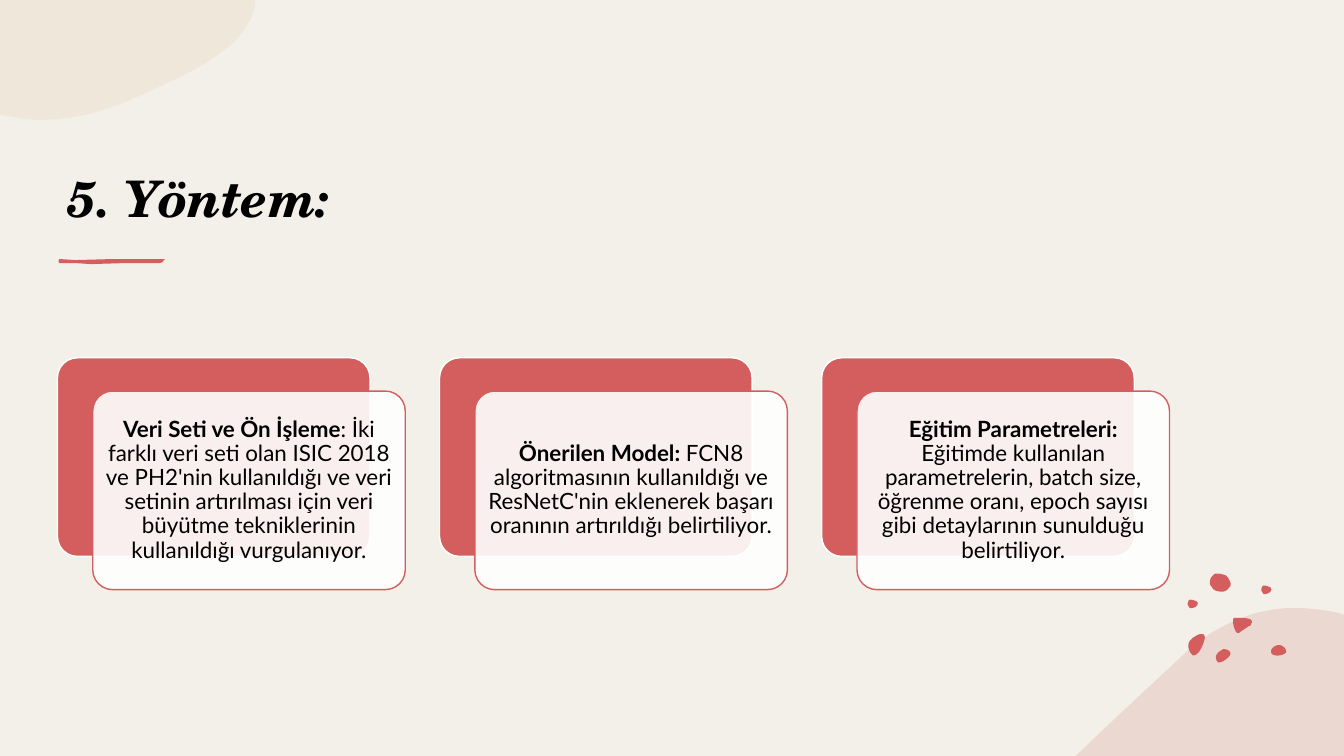
from lxml import etree
from pptx import Presentation
from pptx.dml.color import RGBColor
from pptx.enum.shapes import MSO_SHAPE
from pptx.enum.text import MSO_ANCHOR, PP_ALIGN
from pptx.oxml.ns import qn
from pptx.util import Inches, Pt

ROUNDED = MSO_SHAPE.ROUNDED_RECTANGLE
MIDDLE, BOTTOM = MSO_ANCHOR.MIDDLE, MSO_ANCHOR.BOTTOM
CENTER = PP_ALIGN.CENTER

THEME = {
    "paper": "F3F0E9", "sand": "E7CFAF", "blush": "E5C4BA",
    "red": "D45E5E", "white": "FFFFFF", "ink": "000000",
    "title_font": "TeX Gyre Schola", "title_size": 36,
    "body_font": "Lato", "body_size": 16,
}
CURVE_STEPS = 8


def paint(sp, color, alpha=100, line=None):
    """Fill a shape, set its outline and drop its shadow."""
    sp.shadow.inherit = False
    sp.fill.solid()
    sp.fill.fore_color.rgb = RGBColor.from_string(THEME[color])
    if alpha < 100:
        clr = sp.fill._xPr.find(qn("a:solidFill"))[0]
        etree.SubElement(clr, qn("a:alpha")).set("val", str(alpha * 1000))
    if line:
        sp.line.color.rgb = RGBColor.from_string(THEME[line])
        sp.line.width = Pt(1)
    else:
        sp.line.fill.background()


def draw_blob(start, segments, color, alpha=100):
    """Outline of straight (x, y) and cubic (x1, y1, x2, y2, x, y) segments, in inches."""
    points = [start]
    for seg in segments:
        if len(seg) == 2:
            points.append(seg)
            continue
        ends = [points[-1], seg[0:2], seg[2:4], seg[4:6]]
        for step in range(1, CURVE_STEPS + 1):
            t = step / CURVE_STEPS
            weights = ((1 - t) ** 3, 3 * t * (1 - t) ** 2, 3 * t * t * (1 - t), t ** 3)
            points.append(tuple(sum(w * e[axis] for w, e in zip(weights, ends))
                                for axis in (0, 1)))
    emu = [(Inches(x), Inches(y)) for x, y in points]
    builder = s.shapes.build_freeform(*emu[0])
    builder.add_line_segments(emu[1:], close=True)
    paint(builder.convert_to_shape(), color, alpha)


# Slide
prs = Presentation()
prs.slide_width, prs.slide_height = Inches(13.33), Inches(7.5)
s = prs.slides.add_slide(prs.slide_layouts[6])
s.background.fill.solid()
s.background.fill.fore_color.rgb = RGBColor.from_string(THEME["paper"])

# Corner blobs
draw_blob((0, 0), [
    (2.53, 0), (2.53, 0.06), (2.45, 0.44, 2, 0.67, 1.58, 0.86),
    (1.23, 1.03, 0.86, 1.19, 0.41, 1.19), (0.31, 1.19, 0.22, 1.18, 0.13, 1.16),
    (0, 1.14)], "sand", 25)
draw_blob((12.88, 6.03), [
    (13.01, 6.04, 13.14, 6.05, 13.27, 6.08), (13.33, 6.1), (13.33, 7.5),
    (10.67, 7.5), (10.68, 7.49), (11.02, 7.16, 11.37, 6.84, 11.69, 6.54),
    (11.91, 6.32, 12.14, 6.19, 12.37, 6.11),
    (12.54, 6.05, 12.71, 6.03, 12.88, 6.03)], "blush", 50)

# Title
tb = s.shapes.add_textbox(Inches(0.57), Inches(0.86), Inches(11.02), Inches(1.45))
tf = tb.text_frame
tf.word_wrap, tf.vertical_anchor = True, BOTTOM
r = tf.paragraphs[0].add_run()
r.text = "5. Yöntem:"
r.font.color.rgb = RGBColor.from_string(THEME["ink"])
for name, value in {"name": THEME["title_font"], "size": Pt(THEME["title_size"]),
                    "bold": True, "italic": True}.items():
    setattr(r.font, name, value)

# Brush stroke under the title
draw_blob((0.59, 2.57), [
    (0.75, 2.58), (1.11, 2.57), (1.64, 2.57), (1.61, 2.58, 1.63, 2.61, 1.57, 2.61),
    (1.24, 2.61), (0.9, 2.62), (0.75, 2.61), (0.61, 2.61),
    (0.57, 2.62, 0.58, 2.58, 0.59, 2.57)], "red")

# Red pebbles
PEBBLES = [
    ((12.13, 6.44), [(12.15, 6.44, 12.16, 6.44, 12.18, 6.45),
                     (12.2, 6.46, 12.21, 6.48, 12.2, 6.5),
                     (12.18, 6.53, 12.12, 6.58, 12.08, 6.57),
                     (12.07, 6.56, 12.06, 6.54, 12.06, 6.52),
                     (12.06, 6.5, 12.08, 6.47, 12.1, 6.46)]),
    ((11.91, 6.29), [(11.93, 6.29, 11.95, 6.29, 11.95, 6.33),
                     (11.94, 6.38, 11.92, 6.43, 11.89, 6.47),
                     (11.87, 6.49, 11.84, 6.52, 11.82, 6.49),
                     (11.79, 6.46, 11.78, 6.41, 11.79, 6.38),
                     (11.8, 6.35, 11.82, 6.34, 11.84, 6.32),
                     (11.85, 6.32, 11.88, 6.29, 11.91, 6.29)]),
    ((12.69, 6.4), [(12.71, 6.4, 12.74, 6.42, 12.75, 6.44),
                    (12.76, 6.46, 12.76, 6.48, 12.73, 6.49),
                    (12.7, 6.51, 12.62, 6.51, 12.61, 6.48),
                    (12.6, 6.46, 12.61, 6.44, 12.62, 6.43),
                    (12.64, 6.41, 12.66, 6.4, 12.69, 6.4)]),
    ((12.01, 5.81), [(12, 5.81, 11.99, 5.75, 12.02, 5.72),
                     (12.04, 5.7, 12.04, 5.69, 12.07, 5.69),
                     (12.1, 5.69, 12.14, 5.7, 12.16, 5.71),
                     (12.18, 5.73, 12.22, 5.78, 12.2, 5.82),
                     (12.17, 5.85, 12.16, 5.87, 12.12, 5.87),
                     (12.09, 5.87, 12.04, 5.86, 12.03, 5.84)]),
    ((12.28, 6.13), [(12.34, 6.13, 12.45, 6.13, 12.41, 6.19),
                     (12.41, 6.2, 12.4, 6.21, 12.39, 6.21),
                     (12.36, 6.23, 12.33, 6.25, 12.3, 6.27),
                     (12.29, 6.28, 12.28, 6.29, 12.26, 6.27),
                     (12.24, 6.23, 12.23, 6.2, 12.23, 6.16),
                     (12.23, 6.15, 12.23, 6.14, 12.24, 6.13)]),
]
for start, segments in PEBBLES:
    draw_blob(start, segments, "red")
for x, y in [(12.51, 5.81), (11.78, 5.95)]:
    draw_blob((x, y + 0.05), [
        (x, y + 0.05, x, y + 0.01, x + 0.02, y),
        (x + 0.04, y, x + 0.05, y, x + 0.07, y + 0.01),
        (x + 0.08, y + 0.01, x + 0.1, y + 0.02, x + 0.1, y + 0.04),
        (x + 0.1, y + 0.05, x + 0.09, y + 0.06, x + 0.08, y + 0.07),
        (x + 0.06, y + 0.08, x + 0.03, y + 0.09, x + 0.02, y + 0.08)], "red")

# Three cards, each a red panel with a text panel shifted over it
LEFT, TOP, PITCH = 0.57, 3.55, 3.79
CARD_W, CARD_H = 3.1, 1.97
SHIFT_X, SHIFT_Y = 0.35, 0.33
CARDS = [
    ("Veri Seti ve Ön İşleme",
     ": İki farklı veri seti olan ISIC 2018 ve PH2'nin kullanıldığı ve veri setinin "
     "artırılması için veri büyütme tekniklerinin kullanıldığı vurgulanıyor."),
    ("Önerilen Model: ",
     "FCN8 algoritmasının kullanıldığı ve ResNetC'nin eklenerek başarı oranının "
     "artırıldığı belirtiliyor."),
    ("Eğitim Parametreleri: ",
     "Eğitimde kullanılan parametrelerin, batch size, öğrenme oranı, epoch sayısı "
     "gibi detaylarının sunulduğu belirtiliyor."),
]
for col, (heading, body) in enumerate(CARDS):
    x = LEFT + col * PITCH
    for dx, dy, color, alpha, line in [(0, 0, "red", 100, "white"),
                                       (SHIFT_X, SHIFT_Y, "white", 90, "red")]:
        sp = s.shapes.add_shape(ROUNDED, Inches(x + dx), Inches(TOP + dy),
                                Inches(CARD_W), Inches(CARD_H))
        sp.adjustments[0] = 0.1
        paint(sp, color, alpha, line)
    # The front panel holds the text
    tf = sp.text_frame
    for name, value in {"word_wrap": True, "vertical_anchor": MIDDLE}.items():
        setattr(tf, name, value)
    for side in ("left", "right", "top", "bottom"):
        setattr(tf, f"margin_{side}", Inches(0.07))
    p = tf.paragraphs[0]
    p.alignment, p.line_spacing = CENTER, 0.9
    for text, bold in [(heading, True), (body, False)]:
        r = p.add_run()
        r.text = text
        r.font.color.rgb = RGBColor.from_string(THEME["ink"])
        for name, value in {"name": THEME["body_font"], "bold": bold,
                            "size": Pt(THEME["body_size"])}.items():
            setattr(r.font, name, value)

prs.save("out.pptx")
